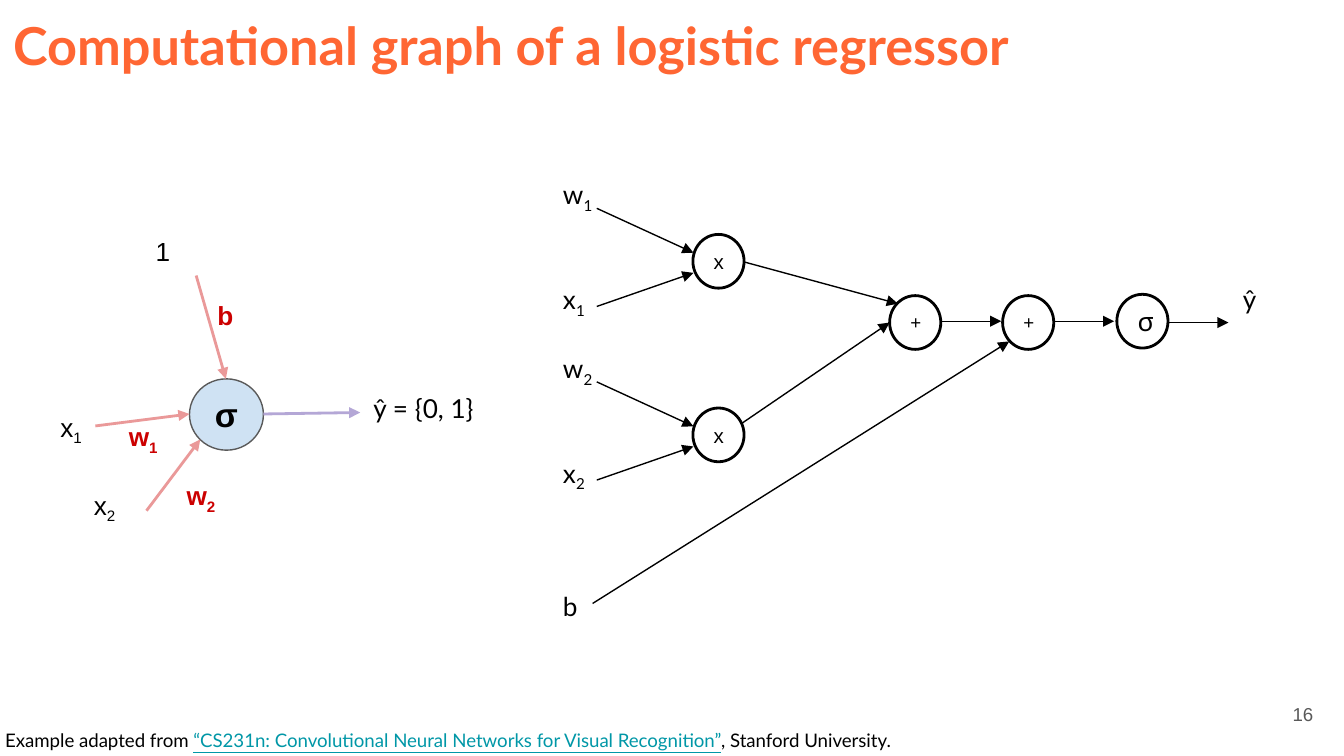
from dataclasses import dataclass

from lxml.etree import SubElement
from pptx import Presentation
from pptx.dml.color import RGBColor
from pptx.enum.shapes import MSO_CONNECTOR, MSO_SHAPE
from pptx.enum.text import MSO_ANCHOR, PP_ALIGN
from pptx.oxml.ns import qn
from pptx.util import Pt


@dataclass(frozen=True)
class Theme:
    ink: str = "000000"
    title: str = "FF6633"
    weight: str = "CC0000"
    incoming: str = "EA9999"
    outgoing: str = "B4A7D6"
    neuron: str = "CFE2F3"
    muted: str = "595959"
    link: str = "0097A7"
    title_size: float = 28
    neuron_size: float = 18
    label_size: float = 14
    product_size: float = 11
    small_size: float = 10


theme = Theme()


def write(shape, text, size=theme.label_size, font="Lato", color=theme.ink, bold=False,
          underline=False, align=PP_ALIGN.LEFT, anchor=MSO_ANCHOR.TOP, inset=7.2):
    frame = shape.text_frame
    frame.word_wrap = True
    frame.vertical_anchor = anchor
    frame.margin_left = frame.margin_right = Pt(7.2)
    frame.margin_top = frame.margin_bottom = Pt(inset)
    paragraph = frame.paragraphs[0]
    paragraph.alignment = align
    base, _, subscript = text.partition("_")
    for part in filter(None, (base, subscript)):
        run = paragraph.add_run()
        run.text = part
        run.font.size = Pt(size)
        run.font.name = font
        run.font.bold = bold
        run.font.underline = underline
        run.font.color.rgb = RGBColor.from_string(color)
    if subscript:
        run._r.get_or_add_rPr().set("baseline", "-25000")


def arrow(x1, y1, x2, y2, color=theme.ink, width=0.75):
    edge = slide.shapes.add_connector(MSO_CONNECTOR.STRAIGHT, Pt(x1), Pt(y1), Pt(x2), Pt(y2))
    edge.line.color.rgb = RGBColor.from_string(color)
    edge.line.width = Pt(width)
    SubElement(edge.line._get_or_add_ln(), qn("a:tailEnd"), type="triangle")
    SubElement(edge._element.spPr, qn("a:effectLst"))


deck = Presentation()
deck.slide_width, deck.slide_height = Pt(720), Pt(405)
slide = deck.slides.add_slide(deck.slide_layouts[6])

heading = slide.shapes.add_textbox(Pt(0), Pt(0), Pt(671), Pt(45.4))
write(heading, "Computational graph of a logistic regressor",
      size=theme.title_size, color=theme.title, bold=True)

neuron = slide.shapes.add_shape(MSO_SHAPE.OVAL, Pt(101.5), Pt(203), Pt(39.6), Pt(38.2))
neuron.shadow.inherit = False
neuron.fill.solid()
neuron.fill.fore_color.rgb = RGBColor.from_string(theme.neuron)
neuron.line.color.rgb = RGBColor.from_string(theme.muted)
neuron.line.width = Pt(0.75)
write(neuron, "σ", size=theme.neuron_size, font="Arial", bold=True,
      align=PP_ALIGN.CENTER, anchor=MSO_ANCHOR.MIDDLE)

for start_x, start_y, end_x, end_y, color in [
    (51.1, 228.2, 101.5, 221.8, theme.incoming),
    (78.5, 273.6, 107.3, 235.4, theme.incoming),
    (105.1, 147.6, 121, 203, theme.incoming),
    (141.1, 221.8, 193, 221, theme.outgoing),
]:
    arrow(start_x, start_y, end_x, end_y, color=color, width=1.5)

for text, left, top, color in [
    ("1", 76.3, 118.8, theme.ink),
    ("x_1", 25.2, 213.1, theme.ink),
    ("x_2", 43.2, 254.9, theme.ink),
    ("b", 109.4, 153.4, theme.weight),
    ("w_1", 61.9, 218.2, theme.weight),
    ("w_2", 92.9, 249.8, theme.weight),
]:
    neuron_label = slide.shapes.add_textbox(Pt(left), Pt(top), Pt(35.3), Pt(31))
    write(neuron_label, text, font="Arial", color=color, bold=color == theme.weight)

prediction = slide.shapes.add_textbox(Pt(193), Pt(203), Pt(93.6), Pt(31))
write(prediction, "ŷ = {0, 1}")

branch_gap = 93
graph_labels = [("b", 294.5, 308.9), ("ŷ", 658.8, 144.7)]
operations = [
    ("+", 476.6, 158.4, theme.small_size, "Arial"),
    ("+", 537.1, 158.4, theme.small_size, "Arial"),
    ("σ", 598.3, 157.7, theme.label_size, "Noto Sans"),
]
for branch in (1, 2):
    drop = (branch - 1) * branch_gap
    graph_labels += [(f"w_{branch}", 294.5, 88.6 + drop), (f"x_{branch}", 294.5, 144.7 + drop)]
    operations.append(("x", 371.2, 125.6 + drop, theme.product_size, "Arial"))
    arrow(319.7, 111.6 + drop, 371.5, 135.4 + drop)
    arrow(319.7, 164.2 + drop, 371.5, 146.2 + drop)

for text, left, top in graph_labels:
    graph_label = slide.shapes.add_textbox(Pt(left), Pt(top), Pt(32.4), Pt(20.9))
    write(graph_label, text)

for symbol, left, top, size, font in operations:
    operation = slide.shapes.add_shape(MSO_SHAPE.OVAL, Pt(left), Pt(top), Pt(27.4), Pt(28.8))
    operation.shadow.inherit = False
    operation.fill.background()
    operation.line.color.rgb = RGBColor.from_string(theme.ink)
    operation.line.width = Pt(1.5)
    write(operation, symbol, size=size, font=font,
          align=PP_ALIGN.CENTER, anchor=MSO_ANCHOR.MIDDLE, inset=3.6)

for start_x, start_y, end_x, end_y in [
    (398.9, 140.4, 481, 162.7),
    (397.4, 226.8, 476.6, 172.8),
    (317.5, 323.3, 540.7, 182.9),
    (504, 172.1, 536.4, 172.1),
    (564.5, 172.1, 596.9, 172.1),
    (625.7, 172.8, 658.1, 172.8),
]:
    arrow(start_x, start_y, end_x, end_y)

credit = slide.shapes.add_textbox(Pt(-4.3), Pt(384.5), Pt(627.8), Pt(18.7))
write(credit, "Example adapted from ", size=theme.small_size)
write(credit, "“CS231n: Convolutional Neural Networks for Visual Recognition”",
      size=theme.small_size, color=theme.link, underline=True)
write(credit, ", Stanford University.", size=theme.small_size)

page_number = slide.shapes.add_textbox(Pt(667.4), Pt(367.2), Pt(43.2), Pt(31))
write(page_number, "16", size=theme.small_size, font="Arial", color=theme.muted,
      align=PP_ALIGN.RIGHT, anchor=MSO_ANCHOR.MIDDLE)

deck.save("out.pptx")
